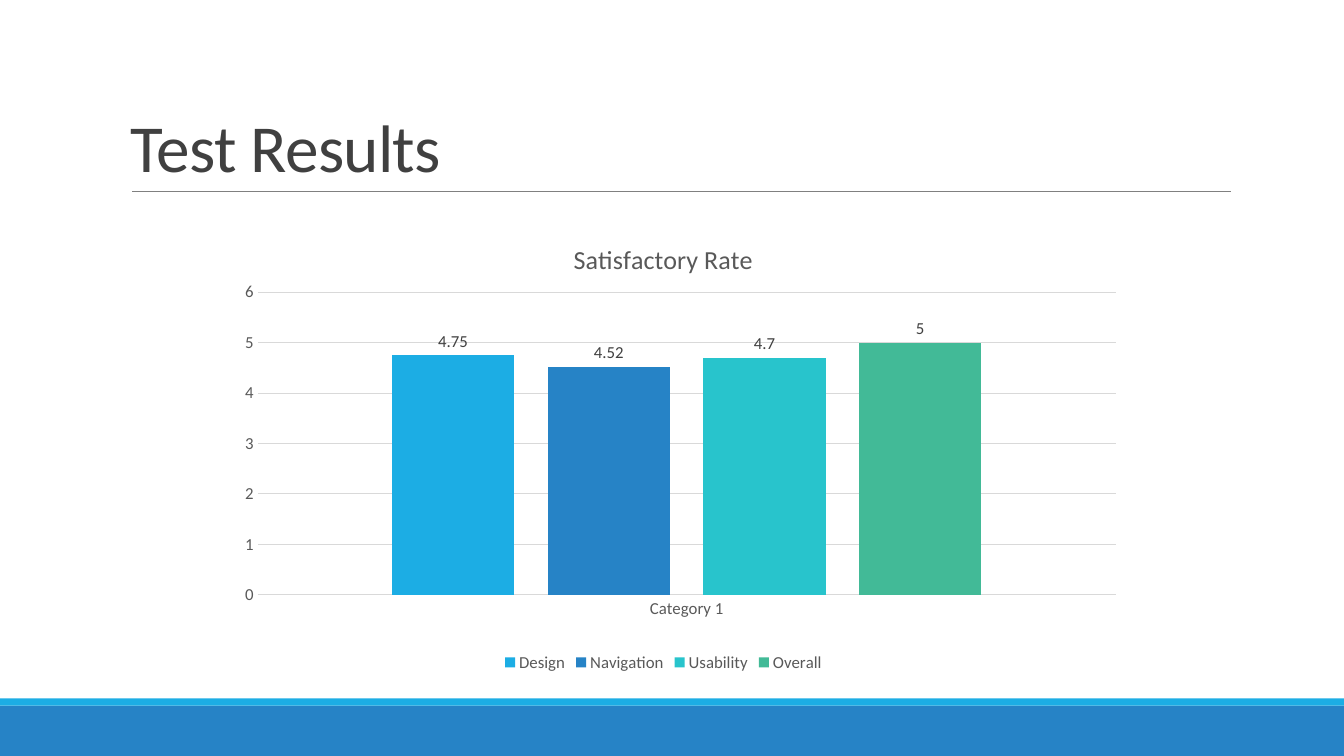
from lxml import etree
from pptx import Presentation
from pptx.chart.data import CategoryChartData
from pptx.dml.color import RGBColor
from pptx.enum.chart import XL_CHART_TYPE, XL_LABEL_POSITION, XL_LEGEND_POSITION, XL_TICK_MARK
from pptx.enum.shapes import MSO_CONNECTOR, MSO_SHAPE
from pptx.enum.text import MSO_ANCHOR
from pptx.oxml.ns import qn
from pptx.util import Inches, Pt

COLUMNS = XL_CHART_TYPE.COLUMN_CLUSTERED
OUTSIDE_END = XL_LABEL_POSITION.OUTSIDE_END
BOTTOM_LEGEND = XL_LEGEND_POSITION.BOTTOM
NO_TICK = XL_TICK_MARK.NONE
STRAIGHT = MSO_CONNECTOR.STRAIGHT
RECTANGLE = MSO_SHAPE.RECTANGLE
BOTTOM_ANCHOR = MSO_ANCHOR.BOTTOM

SKY = RGBColor(0x1C, 0xAD, 0xE4)
BLUE = RGBColor(0x26, 0x83, 0xC6)
TEAL = RGBColor(0x28, 0xC4, 0xCC)
GREEN = RGBColor(0x42, 0xBA, 0x97)
DARK = RGBColor(0x40, 0x40, 0x40)
TEXT_GRAY = RGBColor(0x59, 0x59, 0x59)
RULE_GRAY = RGBColor(0x80, 0x80, 0x80)
GRID_GRAY = RGBColor(0xD9, 0xD9, 0xD9)

FONT = "Calibri"
WIDTH, HEIGHT = 13.33, 7.5
TITLE = "Test Results"
CHART_TITLE = "Satisfactory Rate"
CATEGORY = "Category 1"
RATINGS = [
    ("Design", 4.75, SKY),
    ("Navigation", 4.52, BLUE),
    ("Usability", 4.7, TEAL),
    ("Overall", 5, GREEN),
]
FOOTER_BANDS = [(7, 0.5, BLUE), (6.93, 0.07, SKY)]
PLOT_LAYOUT = [
    ("layoutTarget", "inner"),
    ("xMode", "edge"),
    ("yMode", "edge"),
    ("x", 0.126),
    ("y", 0.155),
    ("w", 0.791),
    ("h", 0.666),
]


def style_font(font, size, color):
    font.name = FONT
    font.size = Pt(size)
    font.bold = False
    font.color.rgb = color


def style_line(line, width, color):
    line.color.rgb = color
    line.width = Pt(width)


def add_footer(slide):
    for top, height, color in FOOTER_BANDS:
        band = slide.shapes.add_shape(
            RECTANGLE, 0, Inches(top), Inches(WIDTH), Inches(height))
        band.shadow.inherit = False
        band.fill.solid()
        band.fill.fore_color.rgb = color
        band.line.fill.background()


def add_title(slide):
    rule = slide.shapes.add_connector(
        STRAIGHT, Inches(1.31), Inches(1.9), Inches(12.21), Inches(1.9))
    style_line(rule.line, 0.5, RULE_GRAY)
    etree.SubElement(rule._element.spPr, qn("a:effectLst"))

    box = slide.shapes.add_textbox(Inches(1.2), Inches(0.31), Inches(11), Inches(1.59))
    frame = box.text_frame
    frame.word_wrap = True
    frame.vertical_anchor = BOTTOM_ANCHOR
    paragraph = frame.paragraphs[0]
    paragraph.line_spacing = 0.85
    run = paragraph.add_run()
    run.text = TITLE
    style_font(paragraph.font, 48, DARK)
    run._r.get_or_add_rPr().set("spc", "-50")


def set_plot_layout(chart):
    plot_area = chart._chartSpace.chart.plotArea
    for old_layout in plot_area.findall(qn("c:layout")):
        plot_area.remove(old_layout)
    layout = etree.Element(qn("c:layout"))
    manual = etree.SubElement(layout, qn("c:manualLayout"))
    for name, value in PLOT_LAYOUT:
        etree.SubElement(manual, qn(f"c:{name}")).set("val", str(value))
    plot_area.insert(0, layout)


def add_rating_chart(slide):
    data = CategoryChartData()
    data.categories = [CATEGORY]
    for name, rating, _ in RATINGS:
        data.add_series(name, [rating])
    chart = slide.shapes.add_chart(
        COLUMNS, Inches(1.2), Inches(2.2), Inches(10.76), Inches(4.51), data).chart
    style_font(chart.font, 12, TEXT_GRAY)

    chart.has_title = True
    chart.chart_title.include_in_layout = False
    chart.chart_title.text_frame.text = CHART_TITLE
    style_font(chart.chart_title.text_frame.paragraphs[0].font, 18.6, TEXT_GRAY)

    chart.has_legend = True
    chart.legend.position = BOTTOM_LEGEND
    chart.legend.include_in_layout = False
    style_font(chart.legend.font, 12, TEXT_GRAY)

    for axis in (chart.category_axis, chart.value_axis):
        axis.major_tick_mark = NO_TICK
        axis.minor_tick_mark = NO_TICK
        style_font(axis.tick_labels.font, 12, TEXT_GRAY)
    style_line(chart.category_axis.format.line, 0.75, GRID_GRAY)
    chart.value_axis.format.line.fill.background()
    chart.value_axis.minimum_scale = 0
    chart.value_axis.maximum_scale = 6
    chart.value_axis.major_unit = 1
    style_line(chart.value_axis.major_gridlines.format.line, 0.75, GRID_GRAY)

    plot = chart.plots[0]
    plot.gap_width = 219
    plot.overlap = -27
    plot.vary_by_categories = False
    for series, (_, _, color) in zip(plot.series, RATINGS):
        series.format.fill.solid()
        series.format.fill.fore_color.rgb = color
        labels = series.data_labels
        labels.show_value = True
        labels.position = OUTSIDE_END
        style_font(labels.font, 12, DARK)
    set_plot_layout(chart)


def main():
    presentation = Presentation()
    presentation.slide_width = Inches(WIDTH)
    presentation.slide_height = Inches(HEIGHT)
    slide = presentation.slides.add_slide(presentation.slide_layouts[6])
    add_footer(slide)
    add_title(slide)
    add_rating_chart(slide)
    presentation.save("out.pptx")


if __name__ == "__main__":
    main()
